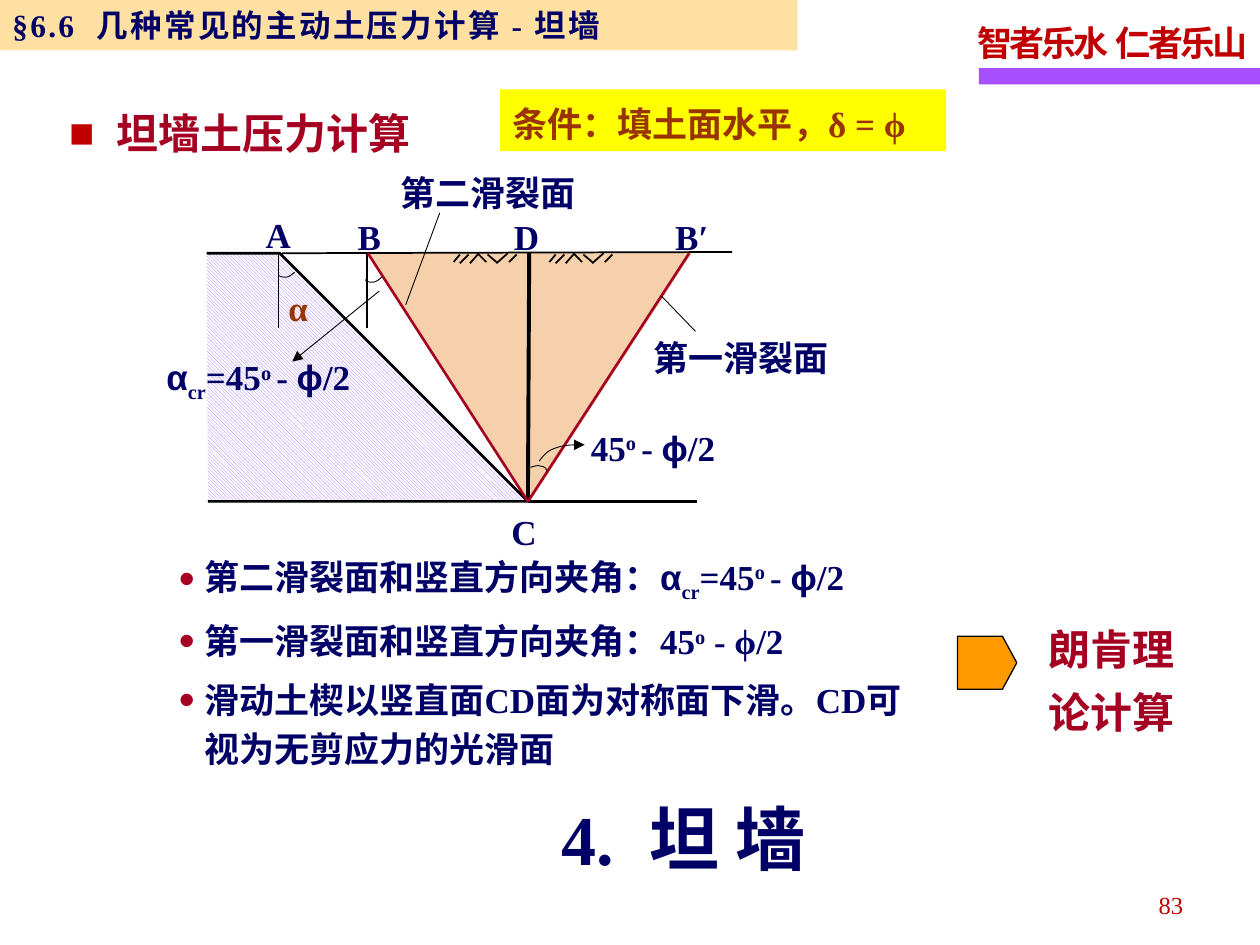
from dataclasses import dataclass

from lxml import etree
from pptx import Presentation, util as u
from pptx.dml.color import RGBColor
from pptx.enum import dml, shapes, text
from pptx.oxml.ns import qn


@dataclass(frozen=True)
class Theme:
    navy: str = "000066"
    crimson: str = "A50021"
    red: str = "C00000"
    brown: str = "993300"
    black: str = "000000"
    white: str = "FFFFFF"
    yellow: str = "FFFF00"
    orange: str = "FF9900"
    purple: str = "A74FFF"
    violet: str = "9966FF"
    sand: str = "FFCC66"
    soil: str = "F5D0AB"
    latin: str = "Times New Roman"
    greek: str = "Arial"
    cjk: str = "Noto Sans CJK SC"
    number: int = 14
    header: int = 18
    body: int = 20
    heading: int = 24
    title: int = 40


T = Theme()
GREEK, SUB, SUP = {"font": T.greek}, {"base": -25}, {"base": 30}

# Formulas shared by the labels and the list
ANGLE = ["45", ("o ", SUP), "- ", ("ϕ", GREEK), "/2"]
ALPHA_CR = [("α", GREEK), ("cr", SUB), "=", *ANGLE]


def rgb(color):
    return RGBColor.from_string(color)


def sub(parent, tag, **attrs):
    return etree.SubElement(parent, qn(tag), attrs)


def add_bullet(p, char, color, percent, indent):
    pPr = p._p.get_or_add_pPr()
    pPr.set("marL", str(u.Inches(indent)))
    pPr.set("indent", str(-u.Inches(indent)))
    sub(sub(pPr, "a:buClr"), "a:srgbClr", val=color)
    sub(pPr, "a:buSzPct", val=str(percent * 1000))
    sub(pPr, "a:buFont", typeface=T.greek)
    sub(pPr, "a:buChar", char=char)


def add_run(p, content, size, color, bold, font, spacing, base=0):
    r = p.add_run()
    r.text = content
    r.font.size, r.font.bold, r.font.name = u.Pt(size), bold, font
    r.font.color.rgb = rgb(color)
    rPr = r._r.get_or_add_rPr()
    sub(rPr, "a:ea", typeface=T.cjk)
    if spacing:
        rPr.set("spc", str(round(spacing * 100)))
    if base:
        rPr.set("baseline", str(base * 1000))


def write(sp, *paragraphs, size=T.body, color=T.navy, bold=True, font=T.latin,
          spacing=0, line=1.15, gap=0, align=text.PP_ALIGN.LEFT, wrap=True,
          anchor=text.MSO_ANCHOR.MIDDLE, inset=None, bullet=None):
    """Fill a shape with paragraphs: strings, or lists of strings and (text, format)."""
    tf = sp.text_frame
    tf.auto_size = text.MSO_AUTO_SIZE.NONE
    tf.word_wrap, tf.vertical_anchor = wrap, anchor
    if inset is not None:
        tf.margin_left = tf.margin_top = tf.margin_right = tf.margin_bottom = inset
    for i, runs in enumerate(paragraphs):
        p = tf.add_paragraph() if i else tf.paragraphs[0]
        if bullet:
            add_bullet(p, *bullet)
        p.alignment, p.line_spacing = align, line
        p.space_before, p.space_after = u.Pt(gap if i else 0), u.Pt(gap)
        for run in [runs] if isinstance(runs, str) else runs:
            content, extra = (run, {}) if isinstance(run, str) else run
            add_run(p, content, **{"size": size, "color": color, "bold": bold,
                                   "font": font, "spacing": spacing, **extra})


def box(at):
    return [u.Inches(v) for v in at]


def label(s, at, *paragraphs, **fmt):
    write(s.shapes.add_textbox(*box(at)), *paragraphs, **fmt)


def place(sp, at):
    sp.left, sp.top, sp.width, sp.height = box(at)


def style(sp, fill=None, line=None, width=1):
    sp.shadow.inherit = False
    if fill:
        sp.fill.solid()
        sp.fill.fore_color.rgb = rgb(fill)
    else:
        sp.fill.background()
    if line:
        sp.line.color.rgb, sp.line.width = rgb(line), u.Pt(width)
    else:
        sp.line.fill.background()
    return sp


def block(s, at, fill, kind=shapes.MSO_SHAPE.RECTANGLE, line=None, width=1):
    return style(s.shapes.add_shape(kind, *box(at)), fill, line, width)


def arrowhead(sp):
    sub(sp._element.spPr.find(qn("a:ln")), "a:tailEnd", type="triangle")


def segment(s, start, end, width=1, color=T.black, arrow=False):
    c = s.shapes.add_connector(shapes.MSO_CONNECTOR.STRAIGHT, *box(start), *box(end))
    c.line.color.rgb, c.line.width = rgb(color), u.Pt(width)
    if arrow:
        arrowhead(c)
    sub(c._element.spPr, "a:effectLst")


def outline(s, points, close=False, **look):
    start, *rest = [box(pt) for pt in points]
    fb = s.shapes.build_freeform(*start)
    fb.add_line_segments(rest, close=close)
    return style(fb.convert_to_shape(), **look)


def curve(s, controls, steps=8):
    """Draw joined cubic Bézier arcs through every third control point."""
    points = [controls[0]]
    for i in range(0, len(controls) - 1, 3):
        for n in range(1, steps + 1):
            t = n / steps
            weights = ((1 - t) ** 3, 3 * t * (1 - t) ** 2, 3 * t * t * (1 - t), t ** 3)
            points.append([sum(w * c[k] for w, c in zip(weights, controls[i:i + 4]))
                           for k in (0, 1)])
    return outline(s, points, line=T.black, width=0.5)


def add_header(s):
    block(s, (7.77, 0.54, 2.23, 0.13), T.purple)
    label(s, (7.66, 0.07, 2.36, 0.49), "智者乐水  仁者乐山", color=T.red,
          spacing=-1.7, wrap=False)
    bar = block(s, (0, 0, 6.33, 0.4), T.sand)
    sub(bar._element.spPr.find(".//" + qn("a:srgbClr")), "a:alpha", val="60000")
    write(bar, "§6.6  几种常见的主动土压力计算 - 坦墙", size=T.header, spacing=1.3, line=1)
    label(s, (0.45, 0.61, 3.24, 0.69), "坦墙土压力计算", size=T.heading, font=T.cjk,
          color=T.crimson, line=1.5, bullet=("■", T.red, 100, 0.38))
    write(block(s, (3.97, 0.71, 3.54, 0.49), T.yellow),
          "条件：填土面水平，δ = ϕ", color=T.brown)


def add_diagram(s):
    toe = (4.19, 3.98)

    # Soil wedge and wall
    outline(s, [(2.91, 2), (4.2, 3.99), (5.49, 2.01)], close=True, fill=T.soil)
    wall = outline(s, [(1.64, 2.01), (2.22, 2.01), toe, (1.65, 3.98)],
                   line=T.black, width=1.5)
    wall.fill.patterned()
    wall.fill.pattern = dml.MSO_PATTERN.LIGHT_DOWNWARD_DIAGONAL
    wall.fill.fore_color.rgb, wall.fill.back_color.rgb = rgb(T.violet), rgb(T.white)

    # Ground, base, verticals and slip planes
    segment(s, (2.24, 2.01), (5.81, 2))
    segment(s, toe, (5.53, 3.98), 1.5)
    segment(s, toe, (4.2, 2.01), 2.25)
    for x in (2.21, 2.91):
        segment(s, (x, 2.01), (x, 2.6))
    for x in (2.92, 5.47):
        segment(s, toe, (x, 2.01), 1.5, T.crimson)

    # Ground surface marks
    ticks = [(0.05, 0.02, 0, 0.08), (0.12, 0.02, 0.05, 0.09), (0.2, 0.01, 0.13, 0.09),
             (0.19, 0.01, 0.26, 0.08), (0.27, 0.02, 0.34, 0.08),
             (0.34, 0.09, 0.43, 0.01), (0.44, 0.08, 0.5, 0.02)]
    for left in (3.6, 4.36):
        for x1, y1, x2, y2 in ticks:
            segment(s, (left + x1, 2 + y1), (left + x2, 2 + y2))

    # Angle arcs and leaders
    for x, y in ((2.21, 2.18), (2.9, 2.22)):
        curve(s, [(x + dx, y + dy) for dx, dy in
                  ((0, 0), (0.01, 0.02), (0.04, 0.02), (0.06, 0.02),
                   (0.08, 0.02), (0.11, 0), (0.13, -0.02))])
    curve(s, [(4.34, 3.74), (4.34, 3.72), (4.32, 3.7), (4.29, 3.7),
              (4.27, 3.69), (4.24, 3.7), (4.21, 3.71)])
    arrowhead(curve(s, [(4.28, 3.66), (4.31, 3.62), (4.34, 3.58), (4.4, 3.56),
                        (4.47, 3.53), (4.55, 3.53), (4.64, 3.53)]))
    segment(s, (3.01, 2.31), (2.32, 2.87), 0.5, arrow=True)
    segment(s, (3.22, 2.42), (3.49, 1.69), 0.5)
    segment(s, (5.25, 2.35), (5.52, 2.63), 0.5)

    # Labels
    for name, x, y, w in (("A", 2.01, 1.61, 0.39), ("B", 2.74, 1.62, 0.38),
                          ("D", 3.98, 1.62, 0.38), ("B′", 5.26, 1.62, 0.49),
                          ("C", 3.96, 3.96, 0.43)):
        label(s, (x, y, w, 0.46), name)
    label(s, (2.19, 2.17, 0.42, 0.49), "α", color=T.brown)
    label(s, (3.08, 1.26, 1.67, 0.49), "第二滑裂面", font=T.cjk)
    label(s, (5.09, 2.57, 1.67, 0.49), "第一滑裂面", font=T.cjk)
    label(s, (1.32, 2.81, 1.64, 0.35), ALPHA_CR, inset=0)
    label(s, (4.69, 3.35, 1.06, 0.35), ANGLE, inset=0)


def add_conclusion(s):
    arrow = block(s, (7.6, 5.05, 0.47, 0.42), T.orange, shapes.MSO_SHAPE.PENTAGON,
                  T.black, 0.75)
    arrow.adjustments[0] = 0.27
    label(s, (8.22, 4.76, 1.37, 1.18), "朗肯理论计算", size=T.heading, font=T.cjk,
          color=T.crimson, line=1.25)
    label(s, (7.16, 6.96, 2.33, 0.4), "83", size=T.number, color=T.red, bold=False,
          align=text.PP_ALIGN.RIGHT)


def main():
    prs = Presentation()
    prs.slide_width, prs.slide_height = u.Inches(10), u.Inches(7.5)
    s = prs.slides.add_slide(prs.slide_layouts[1])

    # Title and list placeholders
    title, body = s.placeholders
    place(title, (1.89, 6.26, 7.07, 0.77))
    write(title, "4.  坦 墙", size=T.title, line=1, align=text.PP_ALIGN.CENTER)
    place(body, (1.42, 4.35, 5.98, 1.75))
    body.fill.solid()
    body.fill.fore_color.rgb = rgb(T.white)
    write(body,
          ["第二滑裂面和竖直方向夹角：", *ALPHA_CR],
          ["第一滑裂面和竖直方向夹角：45", ("o", SUP), " - ϕ/2"],
          "滑动土楔以竖直面CD面为对称面下滑。CD可视为无剪应力的光滑面",
          gap=3, inset=0, anchor=text.MSO_ANCHOR.TOP, bullet=("•", T.crimson, 130, 0.2))

    add_header(s)
    add_diagram(s)
    add_conclusion(s)
    prs.save("out.pptx")


if __name__ == "__main__":
    main()
